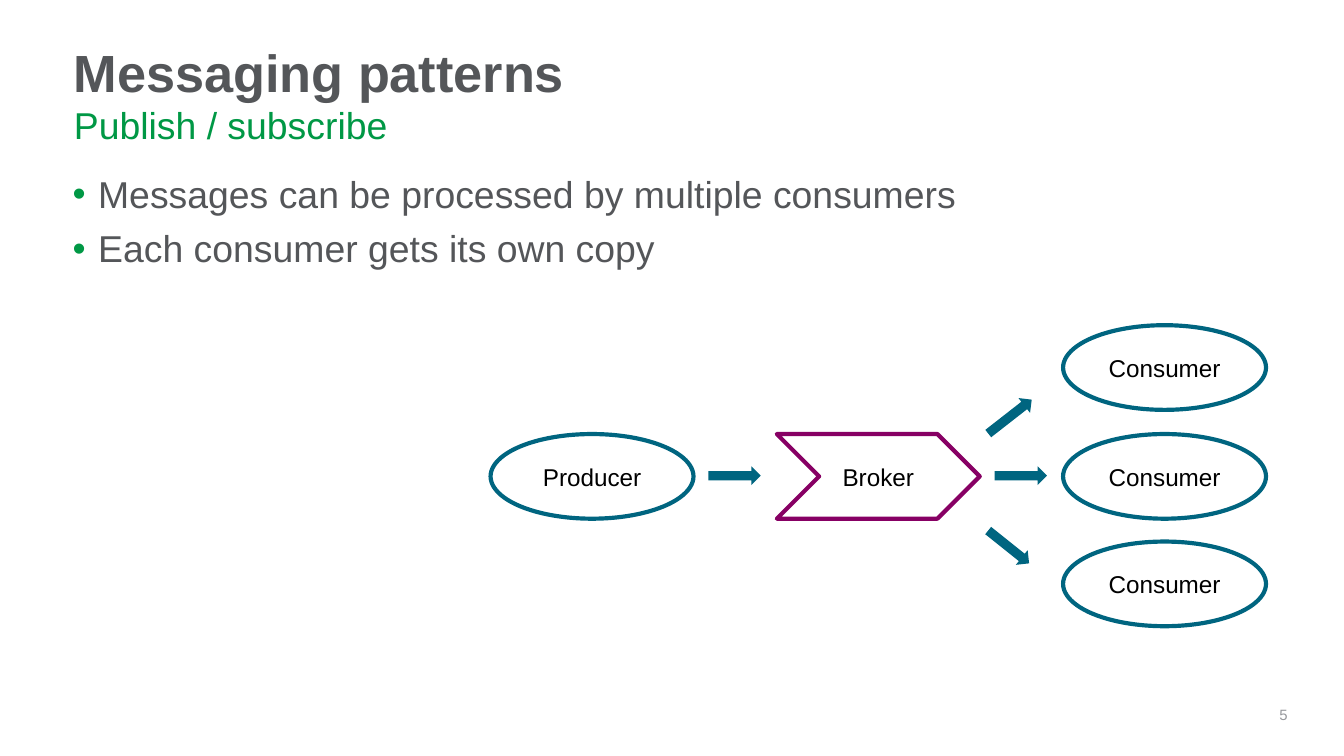
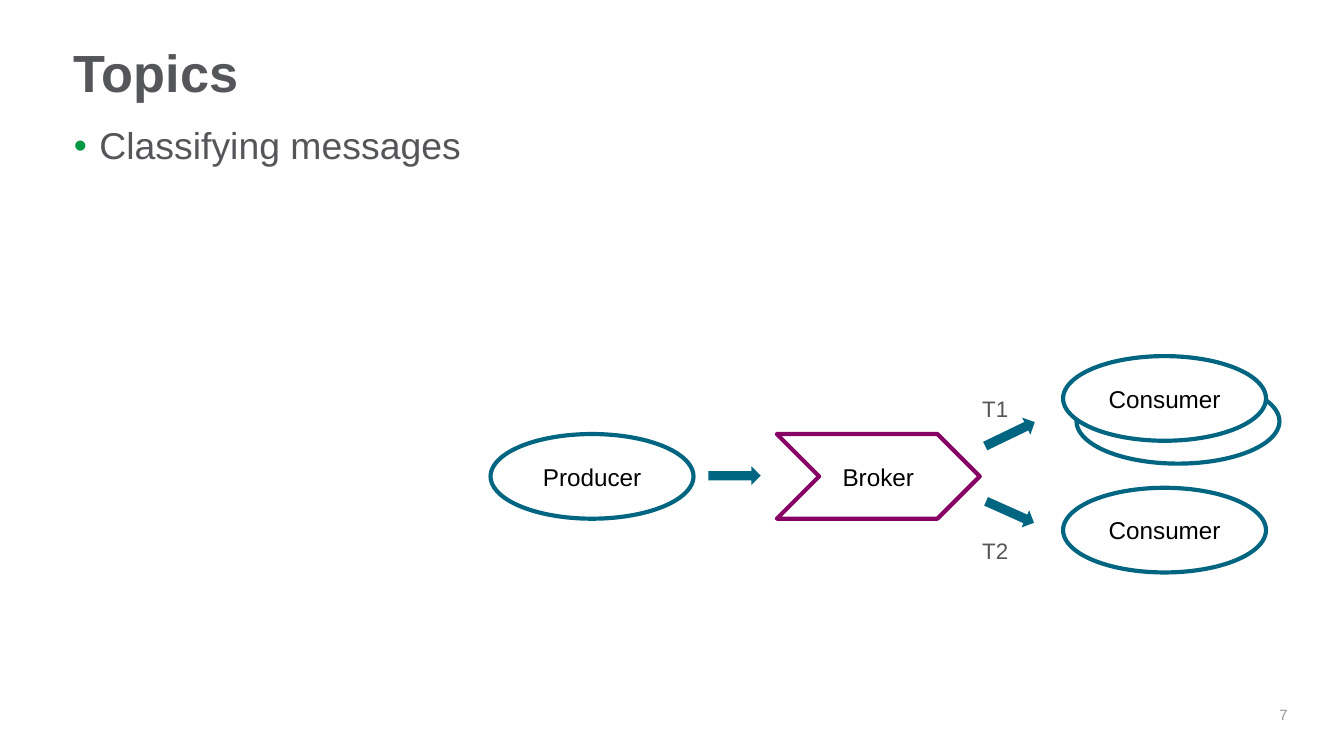
from lxml import etree
from pptx import Presentation
from pptx.dml.color import RGBColor
from pptx.enum.shapes import MSO_SHAPE
from pptx.enum.text import MSO_ANCHOR, PP_ALIGN
from pptx.oxml.ns import qn
from pptx.util import Inches, Pt

COLORS = {
    "text": "545659",
    "accent": "009845",
    "client": "006580",
    "broker": "870064",
    "number": "97999D",
    "label": "000000",
    "white": "FFFFFF",
}
FONT = "Arial"
SLIDE_WIDTH = 10
SLIDE_HEIGHT = SLIDE_WIDTH * 9 / 16
NODE_WIDTH, NODE_HEIGHT = 1.51, 0.63
ARROW_WIDTH, ARROW_HEIGHT = 0.39, 0.14
ROW_TOP = 3.23
CONSUMER_LEFT = 7.91


def rgb(name):
    return RGBColor.from_string(COLORS[name])


class Deck:
    def __init__(self):
        self.presentation = Presentation()
        self.presentation.slide_width = Inches(SLIDE_WIDTH)
        self.presentation.slide_height = Inches(SLIDE_HEIGHT)
        self.slide = None

    def start_slide(self, title, number):
        self.slide = self.presentation.slides.add_slide(self.presentation.slide_layouts[6])
        self.text([str(number)], 9.39, 5.2, 0.19, 0.26, 8, "number",
                  inset=0.05, align=PP_ALIGN.RIGHT)
        self.text([title], 0.55, 0.3, 8.87, 0.43, 28, "text",
                  bold=True, inset=0.05, spacing=0.9)

    def style(self, paragraph, size, color, bold=False):
        for run in paragraph.runs:
            run.font.name = FONT
            run.font.size = Pt(size)
            run.font.bold = bold
            run.font.color.rgb = rgb(color)

    def text(self, lines, left, top, width, height, size, color,
             bold=False, inset=0, side=0, align=PP_ALIGN.LEFT, spacing=None):
        box = self.slide.shapes.add_textbox(
            Inches(left), Inches(top), Inches(width), Inches(height))
        frame = box.text_frame
        frame.word_wrap = True
        frame.margin_top = frame.margin_bottom = Inches(inset)
        frame.margin_left = frame.margin_right = Inches(side)
        frame.text = "\n".join(lines)
        for paragraph in frame.paragraphs:
            paragraph.alignment = align
            paragraph.line_spacing = spacing
            self.style(paragraph, size, color, bold)
        return frame

    def subtitle(self, words):
        self.text([words], 0.55, 0.8, 8.87, 0.27, 20, "accent", spacing=0.9)

    def bullets(self, lines, left, top):
        frame = self.text(lines, left, top, 6.83, 1.03, 20, "text", spacing=0.9)
        for index, paragraph in enumerate(frame.paragraphs):
            if index:
                paragraph.space_before = Pt(7.5)
            properties = paragraph._p.get_or_add_pPr()
            properties.set("marL", str(Inches(0.19)))
            properties.set("indent", str(-Inches(0.19)))
            bullet_color = etree.SubElement(properties, qn("a:buClr"))
            etree.SubElement(bullet_color, qn("a:srgbClr"), val=COLORS["accent"])
            etree.SubElement(properties, qn("a:buFont"), typeface=FONT)
            etree.SubElement(properties, qn("a:buChar"), char="•")

    def node(self, label, left, top, kind=MSO_SHAPE.OVAL, color="client", filled=False):
        node = self.slide.shapes.add_shape(
            kind, Inches(left), Inches(top), Inches(NODE_WIDTH), Inches(NODE_HEIGHT))
        node.shadow.inherit = False
        if filled:
            node.fill.solid()
            node.fill.fore_color.rgb = rgb("white")
        else:
            node.fill.background()
        node.line.color.rgb = rgb(color)
        node.line.width = Pt(2.25)
        if label:
            node.text_frame.text = label
            node.text_frame.vertical_anchor = MSO_ANCHOR.MIDDLE
            paragraph = node.text_frame.paragraphs[0]
            paragraph.alignment = PP_ALIGN.CENTER
            self.style(paragraph, 13, "label")

    def consumer(self, top, filled=False):
        self.node("Consumer", CONSUMER_LEFT, top, filled=filled)

    def arrow(self, left, top=3.47, angle=0, width=ARROW_WIDTH):
        arrow = self.slide.shapes.add_shape(
            MSO_SHAPE.RIGHT_ARROW, Inches(left), Inches(top),
            Inches(width), Inches(ARROW_HEIGHT))
        arrow.shadow.inherit = False
        arrow.rotation = angle
        arrow.fill.solid()
        arrow.fill.fore_color.rgb = rgb("client")
        arrow.line.fill.background()

    def producer_to_broker(self):
        self.node("Producer", 3.65, ROW_TOP)
        self.node("Broker", 5.78, ROW_TOP, MSO_SHAPE.CHEVRON, "broker", filled=True)
        self.arrow(5.27)

    def topic(self, name, top):
        self.text([name], 7.21, top, 0.43, 0.3, 12, "text", inset=0.05, side=0.1)


def add_publish_subscribe(deck):
    deck.start_slide("Messaging patterns", 5)
    deck.bullets(["Messages can be processed by multiple consumers",
                  "Each consumer gets its own copy"], 0.54, 1.31)
    deck.subtitle("Publish / subscribe")
    deck.producer_to_broker()
    for top in (2.42, ROW_TOP, 4.03):
        deck.consumer(top)
    deck.arrow(7.31, 3.03, 322, width=0.41)
    deck.arrow(7.4)
    deck.arrow(7.31, 4, 38.7)


def add_topics(deck):
    deck.start_slide("Topics", 7)
    deck.bullets(["Classifying messages"], 0.55, 0.95)
    deck.node("", CONSUMER_LEFT + 0.1, 2.82)
    deck.producer_to_broker()
    deck.consumer(2.65, filled=True)
    deck.consumer(3.63)
    deck.arrow(7.31, 3.16, 334.2, width=0.41)
    deck.arrow(7.32, 3.74, 24.1)
    deck.topic("T1", 2.89)
    deck.topic("T2", 3.95)


def main():
    deck = Deck()
    add_publish_subscribe(deck)
    add_topics(deck)
    deck.presentation.save("out.pptx")


if __name__ == "__main__":
    main()
